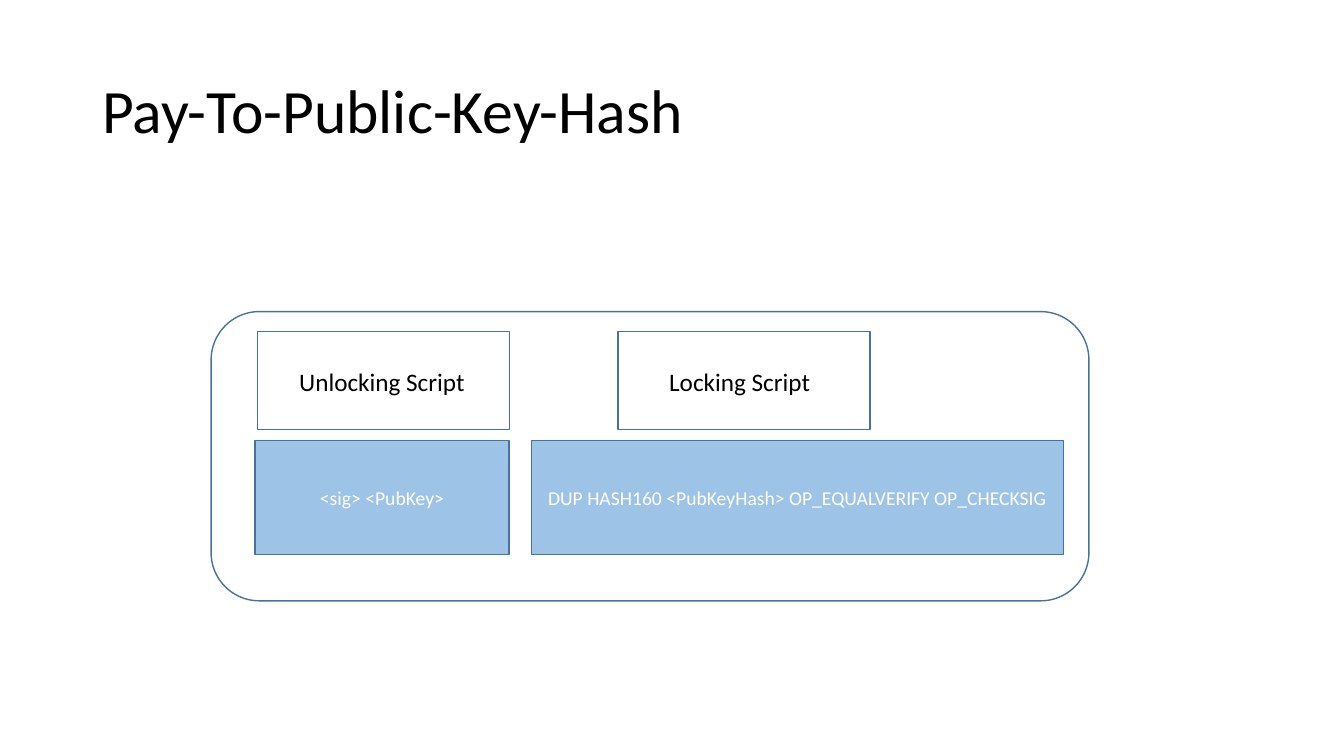
from pptx import Presentation
from pptx.dml.color import RGBColor
from pptx.enum.shapes import MSO_SHAPE
from pptx.enum.text import MSO_ANCHOR, PP_ALIGN
from pptx.util import Pt

RECT, ROUNDED = MSO_SHAPE.RECTANGLE, MSO_SHAPE.ROUNDED_RECTANGLE
TOP, MIDDLE = MSO_ANCHOR.TOP, MSO_ANCHOR.MIDDLE
LEFT, CENTER = PP_ALIGN.LEFT, PP_ALIGN.CENTER

FONT = "Calibri"
COLORS = {"white": "FFFFFF", "black": "000000", "outline": "43739E", "script": "9DC3E6"}


def color(name):
    return RGBColor.from_string(COLORS[name])


def write(shape, text, size, ink, anchor=TOP, align=LEFT):
    frame = shape.text_frame
    frame.word_wrap = True
    frame.vertical_anchor = anchor
    paragraph = frame.paragraphs[0]
    paragraph.text = text
    paragraph.alignment = align
    font = paragraph.runs[0].font
    font.name, font.size = FONT, Pt(size)
    font.color.rgb = color(ink)
    return paragraph


def add_box(slide, kind, bounds, fill):
    box = slide.shapes.add_shape(kind, *map(Pt, bounds))
    box.shadow.inherit = False
    box.fill.solid()
    box.fill.fore_color.rgb = color(fill)
    box.line.color.rgb = color("outline")
    box.line.width = Pt(1)
    return box


def add_text(slide, bounds, text, size, anchor=TOP):
    return write(slide.shapes.add_textbox(*map(Pt, bounds)), text, size, "black", anchor)


def main():
    deck = Presentation()
    deck.slide_width, deck.slide_height = Pt(960), Pt(540)
    slide = deck.slides.add_slide(deck.slide_layouts[6])

    # Title
    title = add_text(slide, (66, 28.8, 828, 104.4), "Pay-To-Public-Key-Hash", 44, MIDDLE)
    title.line_spacing = 0.9

    # Frame around the whole transaction script
    add_box(slide, ROUNDED, (150.8, 222.6, 627, 206.6), "white")

    # Headings: box left, text left, text width, wording
    headings = [
        (183.8, 206.6, 133.2, "Unlocking Script"),
        (441.4, 470.9, 121, "Locking Script"),
    ]
    for box_left, text_left, text_width, heading in headings:
        add_box(slide, RECT, (box_left, 236.9, 180, 69.8), "white")
        add_text(slide, (text_left, 257.8, text_width, 28.8), heading, 18)

    # Scripts: left, width, wording
    scripts = [
        (182.2, 181.4, "<sig> <PubKey>"),
        (379.6, 380, "DUP HASH160 <PubKeyHash> OP_EQUALVERIFY OP_CHECKSIG"),
    ]
    for left, width, script in scripts:
        script_box = add_box(slide, RECT, (left, 314.8, width, 81.4), "script")
        write(script_box, script, 14, "white", MIDDLE, CENTER)

    deck.save("out.pptx")


if __name__ == "__main__":
    main()
